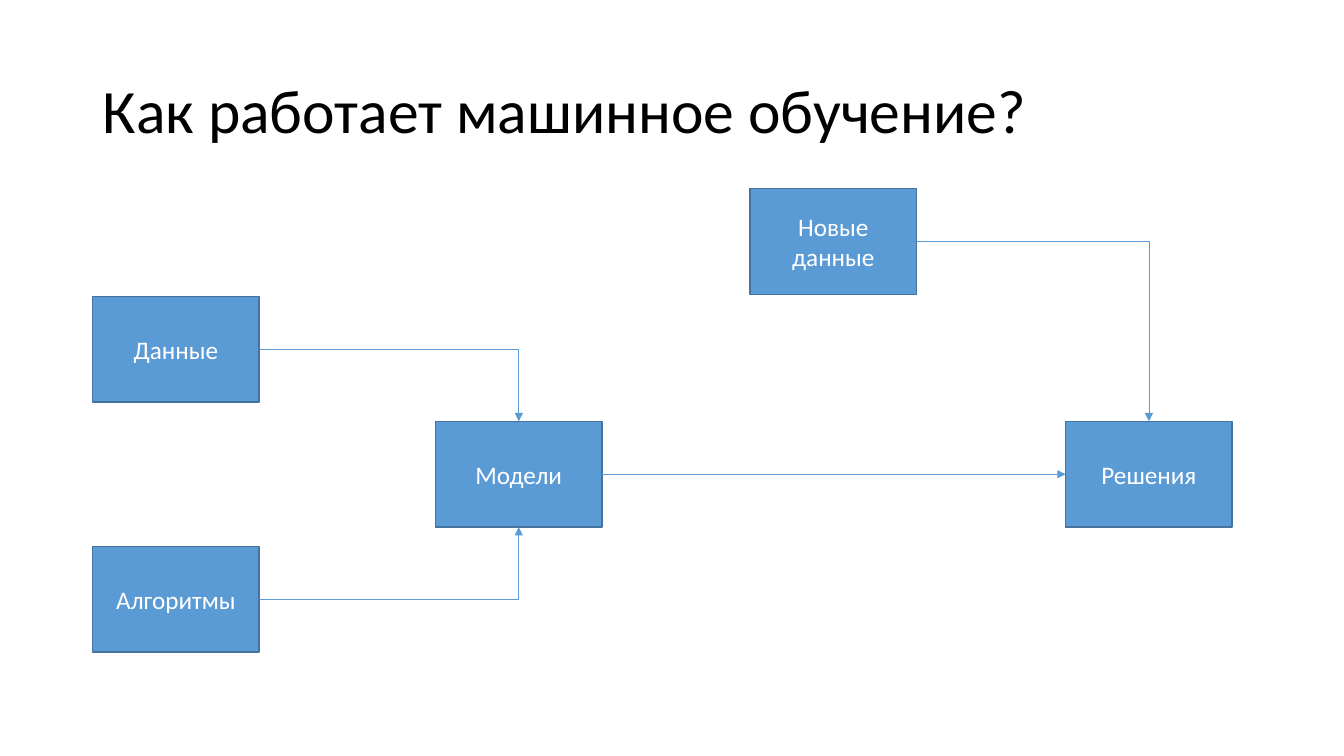
from pptx import Presentation
from pptx.dml.color import RGBColor
from pptx.enum.shapes import MSO_CONNECTOR, MSO_SHAPE
from pptx.enum.text import MSO_ANCHOR, PP_ALIGN
from pptx.oxml.ns import qn
from pptx.util import Inches, Pt
from lxml import etree

RECTANGLE, ELBOW = MSO_SHAPE.RECTANGLE, MSO_CONNECTOR.ELBOW
LEFT, CENTER, MIDDLE = PP_ALIGN.LEFT, PP_ALIGN.CENTER, MSO_ANCHOR.MIDDLE
TOP_SITE, LEFT_SITE, BOTTOM_SITE, RIGHT_SITE = range(4)

# Content
TITLE = "Как работает машинное обучение?"
FONT = "Calibri"
BLUE, DARK_BLUE, WHITE, BLACK = "5B9BD5", "43739E", "FFFFFF", "000000"
BOX_WIDTH, BOX_HEIGHT = 1.65, 1.05
BOXES = {  # name: (left, top, lines)
    "data": (0.92, 2.94, ["Данные"]),
    "algorithms": (0.92, 5.42, ["Алгоритмы"]),
    "decisions": (10.57, 4.18, ["Решения"]),
    "new data": (7.44, 1.87, ["Новые", "данные"]),
    "models": (4.32, 4.18, ["Модели"]),
}
ARROWS = [  # from the right side of a box, to a box, side reached
    ("data", "models", TOP_SITE),
    ("algorithms", "models", BOTTOM_SITE),
    ("models", "decisions", LEFT_SITE),
    ("new data", "decisions", TOP_SITE),
]


def color(value):
    return RGBColor.from_string(value)


def write_lines(text_frame, lines, size, font_color, alignment):
    text_frame.word_wrap = True
    text_frame.vertical_anchor = MIDDLE
    for index, line in enumerate(lines):
        paragraph = text_frame.add_paragraph() if index else text_frame.paragraphs[0]
        paragraph.alignment = alignment
        run = paragraph.add_run()
        run.text = line
        run.font.name = FONT
        run.font.size = Pt(size)
        run.font.color.rgb = color(font_color)


def add_box(slide, left, top, lines):
    box = slide.shapes.add_shape(RECTANGLE, Inches(left), Inches(top),
                                 Inches(BOX_WIDTH), Inches(BOX_HEIGHT))
    box.shadow.inherit = False
    box.fill.solid()
    box.fill.fore_color.rgb = color(BLUE)
    box.line.color.rgb = color(DARK_BLUE)
    box.line.width = Pt(1)
    write_lines(box.text_frame, lines, 18, WHITE, CENTER)
    return box


def add_arrow(slide, source, target, site):
    arrow = slide.shapes.add_connector(ELBOW, 0, 0, 0, 0)
    arrow.begin_connect(source, RIGHT_SITE)
    arrow.end_connect(target, site)
    arrow.line.color.rgb = color(BLUE)
    arrow.line.width = Pt(0.5)
    properties = arrow.element.spPr
    # A single bend when the arrow enters from above or below
    if site != LEFT_SITE:
        properties.find(qn("a:prstGeom")).set("prst", "bentConnector2")
    etree.SubElement(properties.find(qn("a:ln")), qn("a:tailEnd"), type="triangle")
    etree.SubElement(properties, qn("a:effectLst"))


def main():
    presentation = Presentation()
    presentation.slide_width, presentation.slide_height = Inches(13.33), Inches(7.5)
    slide = presentation.slides.add_slide(presentation.slide_layouts[5])

    # Title
    title = slide.shapes.title
    title.left, title.top = Inches(0.92), Inches(0.4)
    title.width, title.height = Inches(11.5), Inches(1.45)
    write_lines(title.text_frame, [TITLE], 44, BLACK, LEFT)
    title.text_frame.paragraphs[0].line_spacing = 0.9

    # Diagram
    boxes = {name: add_box(slide, *box) for name, box in BOXES.items()}
    for source, target, site in ARROWS:
        add_arrow(slide, boxes[source], boxes[target], site)

    presentation.save("out.pptx")


if __name__ == "__main__":
    main()
